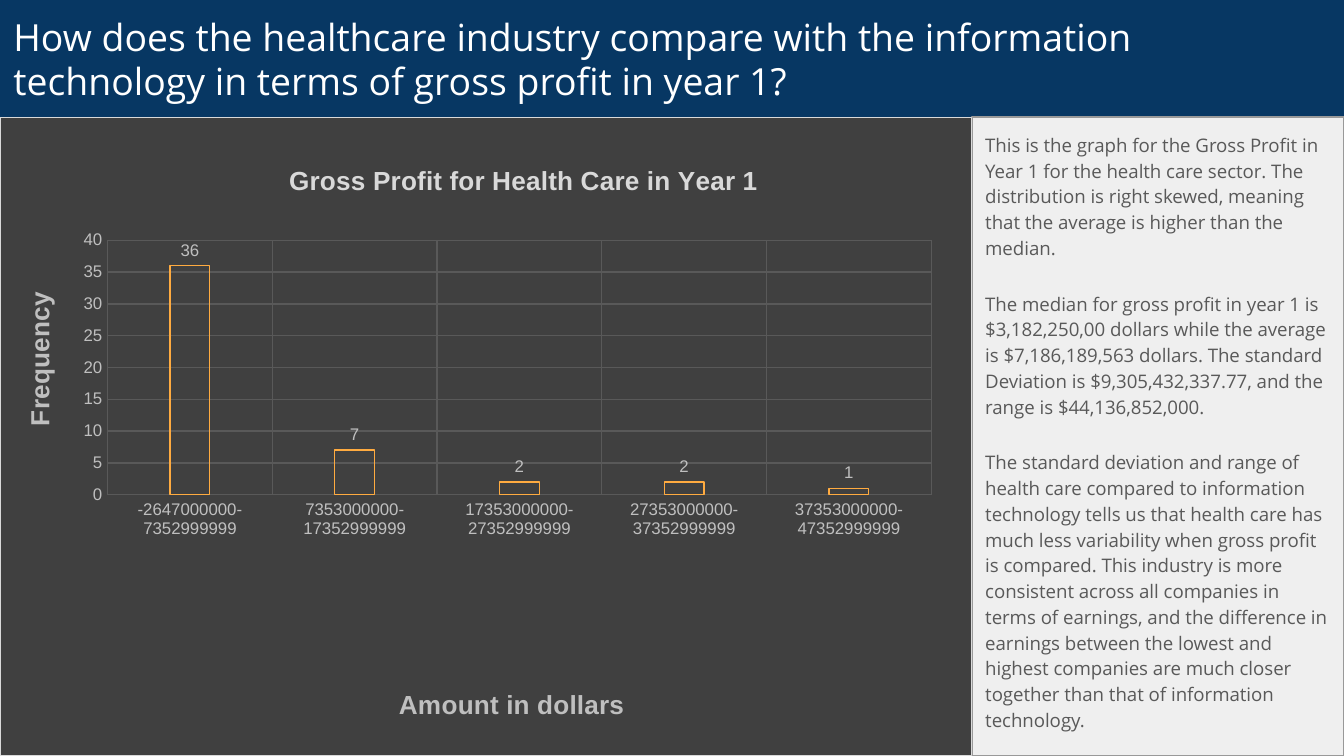
import lxml.etree
import pptx
import pptx.chart.data
import pptx.dml.color
import pptx.enum.chart
import pptx.enum.shapes
import pptx.enum.text
import pptx.oxml
import pptx.util

WIDE, HIGH, SPLIT, HEAD = 1344, 756, 972, 117
SCALE = 914400 / 134.4
NS = "http://schemas.openxmlformats.org/drawingml/2006/"
C = "{" + NS + "chart}"
FRAME = f"""<c:spPr xmlns:c="{NS}chart" xmlns:a="{NS}main">
<a:solidFill><a:srgbClr val="404040"/></a:solidFill>
<a:ln w="9525"><a:solidFill><a:srgbClr val="D9D9D9"/></a:solidFill></a:ln></c:spPr>"""

TITLE = ("How does the healthcare industry compare with the information "
         "technology in terms of gross profit in year 1?")
NOTES = [
    "This is the graph for the Gross Profit in Year 1 for the health care sector. "
    "The distribution is right skewed, meaning that the average is higher than the median.",
    "The median for gross profit in year 1 is $3,182,250,00 dollars while the average is "
    "$7,186,189,563 dollars. The standard Deviation is $9,305,432,337.77, and the range is "
    "$44,136,852,000.",
    "The standard deviation and range of health care compared to information technology "
    "tells us that health care has much less variability when gross profit is compared. "
    "This industry is more consistent across all companies in terms of earnings, and the "
    "difference in earnings between the lowest and highest companies are much closer "
    "together than that of information technology.",
]
BINS = {
    "-2647000000-7352999999": 36,
    "7353000000-17352999999": 7,
    "17353000000-27352999999": 2,
    "27353000000-37352999999": 2,
    "37353000000-47352999999": 1,
}


def px(n):
    """Turn picture pixels into EMU."""
    return pptx.util.Emu(round(n * SCALE))


def tint(code):
    """Turn a hex string into a colour."""
    return pptx.dml.color.RGBColor.from_string(code)


def style(font, size, code, name="Arial", bold=False):
    """Set the look of a font."""
    font.size, font.name, font.bold = pptx.util.Pt(size), name, bold
    font.color.rgb = tint(code)


def paint(shape, code):
    """Give a shape a solid fill."""
    shape.fill.solid()
    shape.fill.fore_color.rgb = tint(code)


def frame(shape, anchor):
    """Set the margins, wrap and anchor of a text frame."""
    text = shape.text_frame
    text.word_wrap = True
    text.auto_size = pptx.enum.text.MSO_AUTO_SIZE.NONE
    text.vertical_anchor = anchor
    text.margin_left = text.margin_right = pptx.util.Inches(0.1)
    text.margin_top = text.margin_bottom = pptx.util.Inches(0.1)
    return text


def place(node, spot, **parts):
    """Put a manual chart layout at a given index of a node."""
    for old in node.findall(C + "layout"):
        node.remove(old)
    outer = lxml.etree.Element(C + "layout")
    inner = lxml.etree.SubElement(outer, C + "manualLayout")
    for tag, val in parts.items():
        lxml.etree.SubElement(inner, C + tag, val=str(val))
    node.insert(spot, outer)


def label(head, words, code, x, y):
    """Write a chart or axis title at a share of the chart area."""
    head.text_frame.text = words
    style(head.text_frame.paragraphs[0].font, 14, code, bold=True)
    place(head._element, 1, xMode="edge", yMode="edge", x=x, y=y)


def banner(slide, x, y, w, h):
    """Format the title placeholder as a blue band."""
    title = slide.shapes.title
    title.left, title.top, title.width, title.height = map(px, (x, y, w, h))
    paint(title, "073763")
    text = frame(title, pptx.enum.text.MSO_ANCHOR.MIDDLE)
    text.text = TITLE
    para = text.paragraphs[0]
    para.alignment = pptx.enum.text.PP_ALIGN.LEFT
    para.line_spacing = 1.0
    style(para.font, 20, "FFFFFF", "Open Sans")


def panel(slide, x, y, w, h):
    """Draw the grey panel of remarks."""
    box = slide.shapes.add_shape(
        pptx.enum.shapes.MSO_SHAPE.RECTANGLE, *map(px, (x, y, w, h)))
    box.shadow.inherit = False
    paint(box, "EFEFEF")
    box.line.color.rgb = tint("999999")
    box.line.width = pptx.util.Pt(0.75)
    text = frame(box, pptx.enum.text.MSO_ANCHOR.TOP)
    text.text = "\n".join(NOTES)
    for para in text.paragraphs:
        para.alignment = pptx.enum.text.PP_ALIGN.LEFT
        para.line_spacing = 1.15
        para.space_after = pptx.util.Pt(16)
        style(para.font, 10, "595959", "Open Sans")


def graph(slide, x, y, w, h):
    """Draw the column chart of gross profit."""
    data = pptx.chart.data.CategoryChartData()
    data.categories = list(BINS)
    data.add_series("Series 1", list(BINS.values()))
    chart = slide.shapes.add_chart(
        pptx.enum.chart.XL_CHART_TYPE.COLUMN_CLUSTERED,
        *map(px, (x, y, w, h)), data).chart
    style(chart.font, 10, "000000")
    chart.has_legend = False
    root = chart.element.find(C + "chart")
    root.addnext(pptx.oxml.parse_xml(FRAME))
    place(root.find(C + "plotArea"), 0, layoutTarget="inner", xMode="edge",
          yMode="edge", x=107 / w, y=123 / h, w=825 / w, h=255 / h)

    chart.has_title = True
    label(chart.chart_title, "Gross Profit for Health Care in Year 1",
          "D9D9D9", 284 / w, 41 / h)
    for axis, words, left, top in (
            (chart.category_axis, "Amount in dollars", 394, 567),
            (chart.value_axis, "Frequency", 17, 170)):
        label(axis.axis_title, words, "BFBFBF", left / w, top / h)
        style(axis.tick_labels.font, 9, "BFBFBF")
        axis.major_tick_mark = pptx.enum.chart.XL_TICK_MARK.NONE
        axis.format.line.fill.background()
        axis.has_major_gridlines = True
        grid = axis.major_gridlines.format.line
        grid.color.rgb = tint("595959")
        grid.width = pptx.util.Pt(0.75)
    scale = chart.value_axis
    scale.minimum_scale, scale.maximum_scale, scale.major_unit = 0, 40, 5

    plot = chart.plots[0]
    plot.gap_width = 315
    plot.vary_by_categories = False
    bars = plot.series[0]
    bars.format.fill.background()
    bars.format.line.color.rgb = tint("FFAB40")
    bars.format.line.width = pptx.util.Pt(0.75)
    marks = bars.data_labels
    marks.show_value = True
    marks.position = pptx.enum.chart.XL_LABEL_POSITION.OUTSIDE_END
    style(marks.font, 9, "BFBFBF")


def main():
    """Build and save the slide."""
    deck = pptx.Presentation()
    deck.slide_width, deck.slide_height = px(WIDE), px(HIGH)
    slide = deck.slides.add_slide(deck.slide_layouts[5])
    panel(slide, SPLIT, HEAD, WIDE - SPLIT, HIGH - HEAD)
    banner(slide, 0, 0, WIDE, HEAD)
    graph(slide, 0, HEAD, SPLIT, HIGH - HEAD)
    deck.save("out.pptx")


main()
